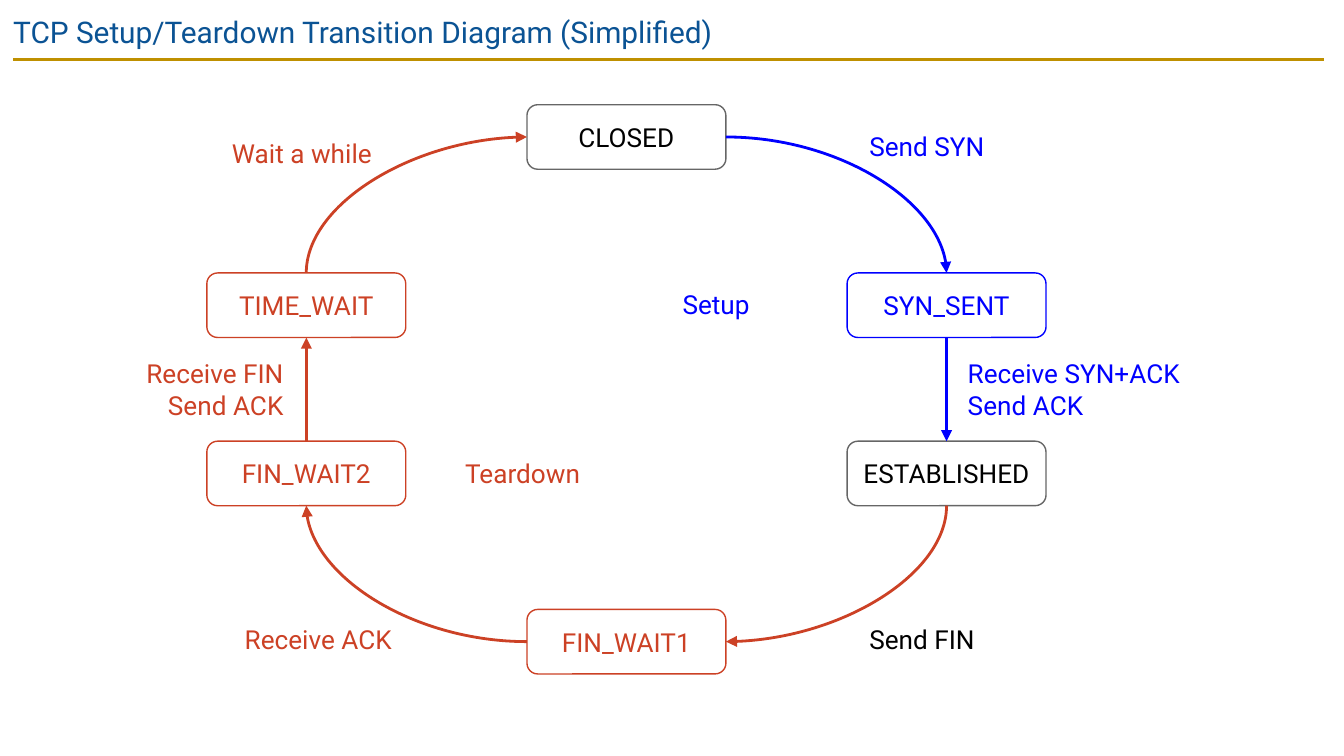
from lxml import etree
from pptx import Presentation
from pptx.dml.color import RGBColor
from pptx.enum.shapes import MSO_CONNECTOR, MSO_SHAPE
from pptx.enum.text import MSO_ANCHOR, PP_ALIGN
from pptx.oxml.ns import qn
from pptx.util import Cm, Pt

STRAIGHT, CURVE = MSO_CONNECTOR.STRAIGHT, MSO_CONNECTOR.CURVE
LEFT, CENTER, RIGHT = PP_ALIGN.LEFT, PP_ALIGN.CENTER, PP_ALIGN.RIGHT
MIDDLE = MSO_ANCHOR.MIDDLE
ROUND_RECT = MSO_SHAPE.ROUNDED_RECTANGLE

WHITE = RGBColor(0xFF, 0xFF, 0xFF)
BLACK = RGBColor(0x00, 0x00, 0x00)
GRAY = RGBColor(0x66, 0x66, 0x66)
BLUE = RGBColor(0x00, 0x00, 0xFF)
RED = RGBColor(0xCC, 0x41, 0x25)
TITLE_BLUE = RGBColor(0x0B, 0x53, 0x94)
GOLD = RGBColor(0xBF, 0x90, 0x00)

# Connection sites of a rounded rectangle
TOP_SITE, LEFT_SITE, BOTTOM_SITE, RIGHT_SITE = range(4)


def set_text(s, text, color, size=14, align=LEFT, inset=0):
    tf = s.text_frame
    tf.text = text
    tf.word_wrap = True
    tf.margin_left = tf.margin_right = Cm(inset)
    tf.margin_top = tf.margin_bottom = Cm(inset)
    for p in tf.paragraphs:
        p.alignment = align
        for r in p.runs:
            r.font.name = "Roboto"
            r.font.size = Pt(size)
            r.font.color.rgb = color


def style_line(s, color, arrow=None):
    """Colour a connector; arrow is headEnd (start), tailEnd (finish) or None."""
    s.line.color.rgb = color
    s.line.width = Pt(1.5)
    if arrow:
        etree.SubElement(s.line._get_or_add_ln(), qn("a:" + arrow), type="triangle")
    etree.SubElement(s._element.spPr, qn("a:effectLst"))


prs = Presentation()
prs.slide_width, prs.slide_height = Cm(25.4), Cm(14.29)
slide = prs.slides.add_slide(prs.slide_layouts[6])
shapes = slide.shapes

# Title and rule
rule = shapes.add_connector(STRAIGHT, Cm(0.25), Cm(1.12), Cm(25.02), Cm(1.12))
style_line(rule, GOLD)
title = shapes.add_textbox(0, 0, Cm(23.67), Cm(1.09))
set_text(title, "TCP Setup/Teardown Transition Diagram (Simplified)", TITLE_BLUE,
         size=16, inset=0.25)

# States on a grid: name, column, row, outline, text colour
BOX_W, BOX_H = 3.76, 1.22
GRID_X, GRID_Y, STEP_X, STEP_Y = 3.91, 1.98, 6.05, 3.18
STATES = [
    ("FIN_WAIT1", 1, 3, RED, RED),
    ("FIN_WAIT2", 0, 2, RED, RED),
    ("ESTABLISHED", 2, 2, GRAY, BLACK),
    ("CLOSED", 1, 0, GRAY, BLACK),
    ("TIME_WAIT", 0, 1, RED, RED),
    ("SYN_SENT", 2, 1, BLUE, BLUE),
]
states = {}
for name, col, row, outline, color in STATES:
    s = shapes.add_shape(ROUND_RECT, Cm(GRID_X + col * STEP_X), Cm(GRID_Y + row * STEP_Y),
                         Cm(BOX_W), Cm(BOX_H))
    s.shadow.inherit = False
    s.fill.solid()
    s.fill.fore_color.rgb = WHITE
    s.line.color.rgb = outline
    s.line.width = Pt(0.75)
    set_text(s, name, color, align=CENTER)
    s.text_frame.vertical_anchor = MIDDLE
    states[name] = s

# Transitions; curves start at the middle column, so some point backwards
TRANSITIONS = [
    (CURVE, "CLOSED", LEFT_SITE, "TIME_WAIT", TOP_SITE, RED, "headEnd"),
    (CURVE, "CLOSED", RIGHT_SITE, "SYN_SENT", TOP_SITE, BLUE, "tailEnd"),
    (CURVE, "FIN_WAIT1", LEFT_SITE, "FIN_WAIT2", BOTTOM_SITE, RED, "tailEnd"),
    (CURVE, "FIN_WAIT1", RIGHT_SITE, "ESTABLISHED", BOTTOM_SITE, RED, "headEnd"),
    (STRAIGHT, "SYN_SENT", BOTTOM_SITE, "ESTABLISHED", TOP_SITE, BLUE, "tailEnd"),
    (STRAIGHT, "FIN_WAIT2", TOP_SITE, "TIME_WAIT", BOTTOM_SITE, RED, "tailEnd"),
]
for kind, start, start_site, end, end_site, color, arrow in TRANSITIONS:
    s = shapes.add_connector(kind, 0, 0, 0, 0)
    s.begin_connect(states[start], start_site)
    s.end_connect(states[end], end_site)
    if kind == CURVE:
        s._element.spPr.find(qn("a:prstGeom")).set("prst", "curvedConnector2")
    style_line(s, color, arrow)

# Labels: text, left, top, width, height, colour, alignment
LABELS = [
    ("Send SYN", 16.43, 2.46, 2.41, 0.61, BLUE, LEFT),
    ("Receive SYN+ACK\nSend ACK", 18.29, 6.76, 4.17, 1.19, BLUE, LEFT),
    ("Send FIN", 16.43, 11.79, 2.41, 0.61, BLACK, LEFT),
    ("Receive ACK", 4.39, 11.79, 3.02, 0.61, RED, RIGHT),
    ("Receive FIN\nSend ACK", 1.19, 6.76, 4.17, 1.19, RED, RIGHT),
    ("Wait a while", 4.01, 2.59, 3.02, 0.61, RED, RIGHT),
    ("Setup", 12.9, 5.46, 1.45, 0.61, BLUE, LEFT),
    ("Teardown", 8.79, 8.64, 2.31, 0.61, RED, LEFT),
]
for text, left, top, width, height, color, align in LABELS:
    s = shapes.add_textbox(Cm(left), Cm(top), Cm(width), Cm(height))
    set_text(s, text, color, align=align)

prs.save("out.pptx")
